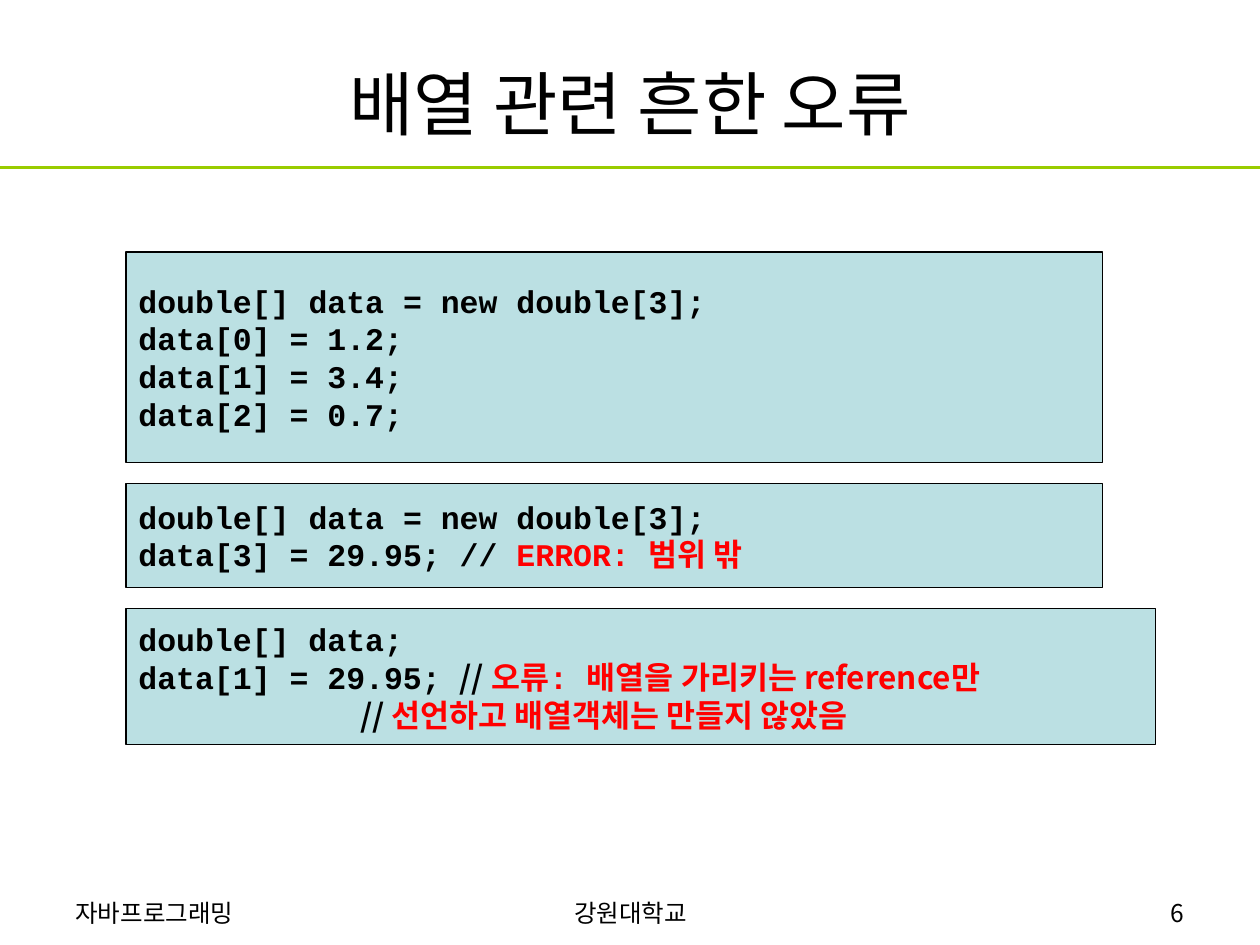
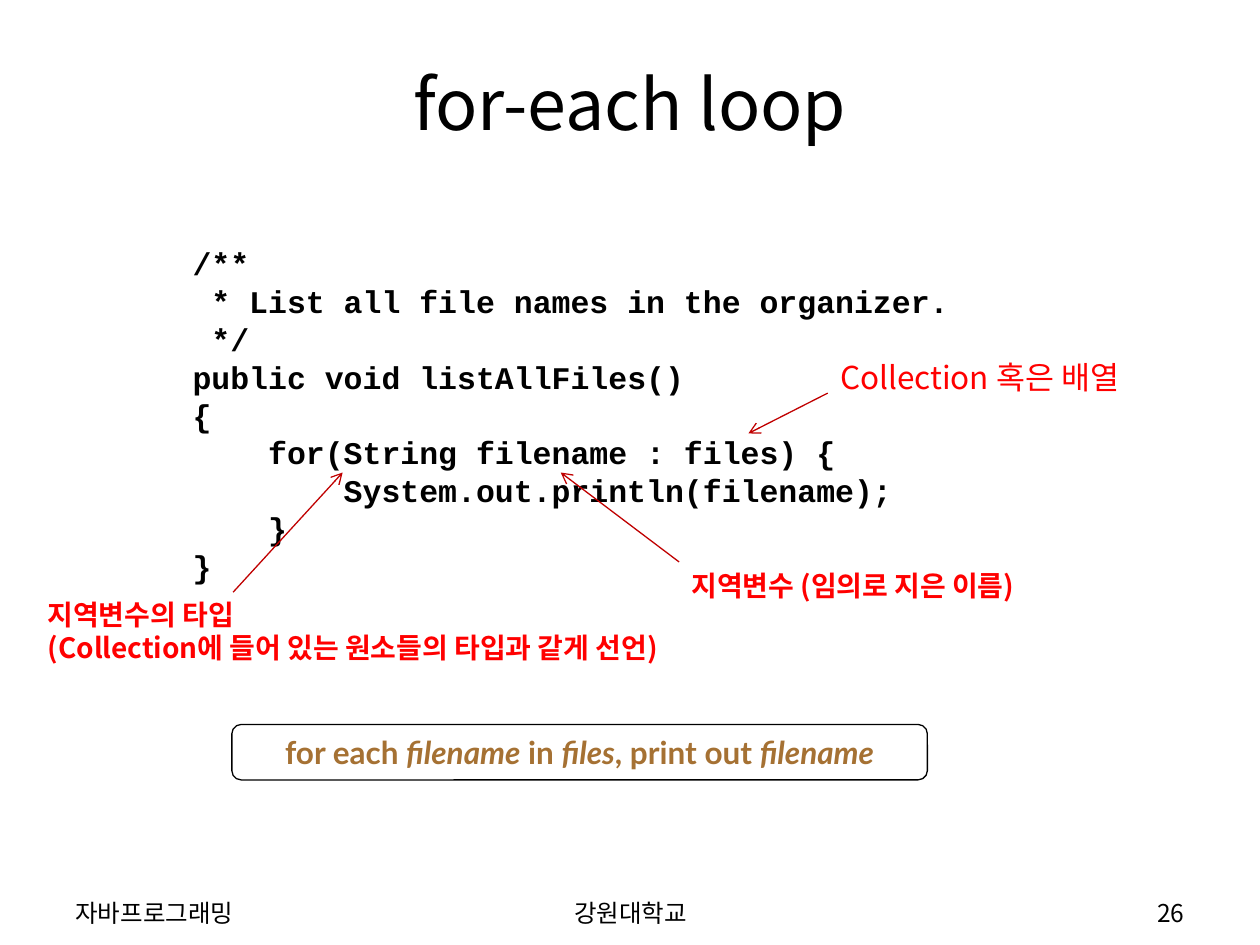
from dataclasses import dataclass

from lxml.etree import SubElement
from pptx import Presentation
from pptx.dml.color import RGBColor
from pptx.enum.shapes import MSO_CONNECTOR, MSO_SHAPE
from pptx.enum.text import MSO_ANCHOR, PP_ALIGN
from pptx.oxml.ns import qn
from pptx.util import Inches, Pt

SANS, MONO, LATO = "Noto Sans CJK KR", "Courier New", "Lato"
BLACK, RED, BROWN = "000000", "FF0000", "A57133"
LEFT, MID, RIGHT = PP_ALIGN.LEFT, PP_ALIGN.CENTER, PP_ALIGN.RIGHT


@dataclass(frozen=True)
class Style:
    font: str
    size: int
    color: str = BLACK
    bold: bool = False
    slant: bool = False


class Theme:
    title = Style(SANS, 40)
    foot = Style(SANS, 14)
    code = Style(MONO, 18, bold=True)
    error = Style(MONO, 18, RED, True)
    slash = Style(SANS, 18, bold=True)
    remark = Style(SANS, 18, RED, True)
    label = Style(SANS, 18, RED)
    note = Style(SANS, 16, RED, True)
    plain = Style(LATO, 18, BROWN, True)
    name = Style(LATO, 18, BROWN, True, True)
    fill, edge, rule, arrow = "BBE0E3", BLACK, "99CC00", "C00000"
    pitch = 1.2    # line height per type size
    column = 0.15  # width of one code character


# Content: a line is (indent in inches, [(text, style name), ...])
def row(text, style="code", cols=0):
    return cols * Theme.column, [(text, style)]


FOOT = [(0.5, 2.67, LEFT, "자바프로그래밍"), (3.42, 3.17, MID, "강원대학교")]
PAGE = (7.17, 2.33, RIGHT)

ERRORS = {"title": "배열 관련 흔한 오류", "page": "6"}
NEW = row("double[] data = new double[3];")
CARDS = [  # width, height, lines
    (7.75, 1.67, [NEW, row("data[0] = 1.2;"), row("data[1] = 3.4;"),
                  row("data[2] = 0.7;")]),
    (7.75, 0.83, [NEW, (0, [("data[3] = 29.95; // ", "code"),
                            ("ERROR: 범위 밖", "error")])]),
    (8.17, 1.08, [
        row("double[] data;"),
        (0, [("data[1] = 29.95; ", "code"), ("// ", "slash"),
             ("오류: ", "error"), ("배열을 가리키는 reference만", "remark")]),
        (1.76, [("// ", "slash"),
                ("선언하고 배열객체는 만들지 않았음", "remark")])]),
]

LOOP = {"title": "for-each loop", "page": "26"}
CODE = [
    row("/**"),
    row("* List all file names in the organizer.", cols=1),
    row("*/", cols=1),
    row("public void listAllFiles()"),
    row("{"),
    row("for(String filename : files) {", cols=4),
    row("System.out.println(filename);", cols=8),
    row("}", cols=4),
    row("}"),
]
NOTES = [  # box, lines, arrow start, arrow end
    ((6.57, 2.79, 2.56, 0.4), [row("Collection 혹은 배열", "label")],
     (6.57, 3.12), (5.94, 3.44)),
    ((5.39, 4.46, 3.06, 0.37), [row("지역변수 (임의로 지은 이름)", "note")],
     (5.39, 4.46), (4.45, 3.75)),
    ((0.28, 4.69, 5.41, 0.64),
     [row("지역변수의 타입", "note"),
      row("(Collection에 들어 있는 원소들의 타입과 같게 선언)", "note")],
     (1.85, 4.7), (2.72, 3.75)),
]
READ = [(0, [("for each ", "plain"), ("filename", "name"), (" in ", "plain"),
             ("files", "name"), (", print out ", "plain"),
             ("filename", "name")])]


# Text
def tint(code):
    return RGBColor.from_string(code)


def add_run(para, text, style):
    run = para.add_run()
    run.text = text
    font = run.font
    font.name, font.size = style.font, Pt(style.size)
    font.bold, font.italic = style.bold, style.slant
    font.color.rgb = tint(style.color)
    SubElement(font._element, qn("a:ea")).set("typeface", SANS)


def write(shape, lines, align=LEFT, anchor=MSO_ANCHOR.TOP):
    frame = shape.text_frame
    frame.word_wrap = True
    frame.vertical_anchor = anchor
    for num, (dent, runs) in enumerate(lines):
        para = frame.add_paragraph() if num else frame.paragraphs[0]
        para.alignment = align
        if dent:
            para._p.get_or_add_pPr().set("marL", str(Inches(dent)))
        styles = [getattr(Theme, key) for _, key in runs]
        para.line_spacing = Pt(Theme.pitch * max(s.size for s in styles))
        for (text, _), style in zip(runs, styles):
            add_run(para, text, style)


def add_text(slide, box, lines, align=LEFT):
    write(slide.shapes.add_textbox(*map(Inches, box)), lines, align)


# Shapes
def add_box(slide, kind, box, lines, fill=None, align=LEFT):
    shape = slide.shapes.add_shape(kind, *map(Inches, box))
    shape.shadow.inherit = False
    if fill:
        shape.fill.solid()
        shape.fill.fore_color.rgb = tint(fill)
    else:
        shape.fill.background()
    shape.line.color.rgb = tint(Theme.edge)
    shape.line.width = Pt(0.75)
    write(shape, lines, align, MSO_ANCHOR.MIDDLE)


def add_line(slide, start, end, color, width, arrow=False):
    line = slide.shapes.add_connector(
        MSO_CONNECTOR.STRAIGHT, *map(Inches, start + end))
    line.line.color.rgb = tint(color)
    line.line.width = Pt(width)
    if arrow:
        SubElement(line.line._get_or_add_ln(), qn("a:tailEnd")).set("type", "arrow")
    SubElement(line._element.spPr, qn("a:effectLst"))


# Shared frame: title and footers
def add_slide(deck, info):
    slide = deck.slides.add_slide(deck.slide_layouts[5])
    title = slide.shapes.title
    title.left, title.top, title.width, title.height = map(
        Inches, (0.5, 0.3, 9, 1.03))
    title.text_frame.vertical_anchor = MSO_ANCHOR.MIDDLE
    para = title.text_frame.paragraphs[0]
    para.alignment = MID
    add_run(para, info["title"], Theme.title)
    for left, width, align, text in FOOT + [PAGE + (info["page"],)]:
        add_text(slide, (left, 7.08, width, 0.27), [row(text, "foot")], align)
    return slide


def draw_errors(deck):
    slide = add_slide(deck, ERRORS)
    add_line(slide, (0, 1.33), (10, 1.33), Theme.rule, 1.5)
    top, gap = 2, 0.165
    for width, height, lines in CARDS:
        add_box(slide, MSO_SHAPE.RECTANGLE, (1, top, width, height), lines,
                Theme.fill)
        top += height + gap


def draw_loop(deck):
    slide = add_slide(deck, LOOP)
    add_text(slide, (1.43, 1.89, 7.13, 2.8), CODE)
    add_box(slide, MSO_SHAPE.ROUNDED_RECTANGLE, (1.84, 5.75, 5.52, 0.44), READ,
            align=MID)
    for box, lines, start, end in NOTES:
        add_text(slide, box, lines)
        add_line(slide, start, end, Theme.arrow, 0.75, arrow=True)


def main():
    deck = Presentation()
    deck.slide_width, deck.slide_height = Inches(10), Inches(7.5)
    draw_errors(deck)
    draw_loop(deck)
    deck.save("out.pptx")


if __name__ == "__main__":
    main()
